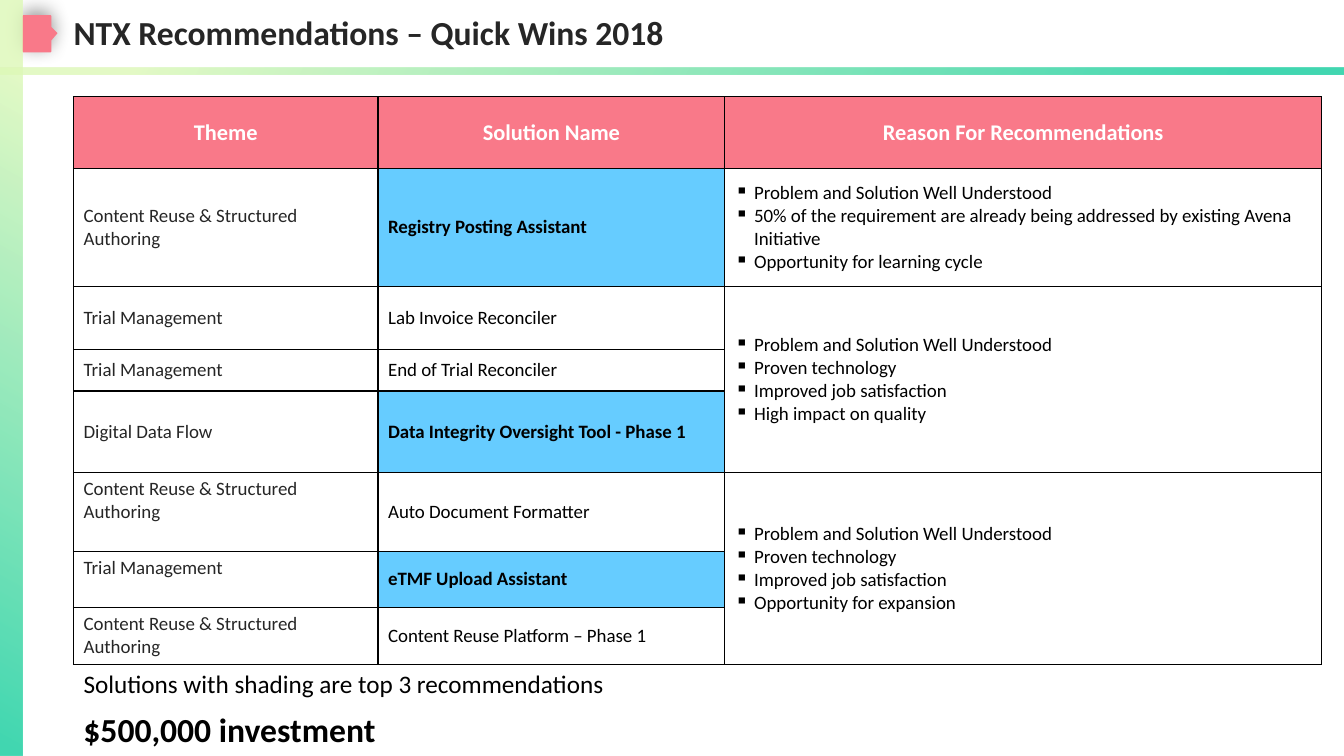
"""Build the quick wins recommendation slide."""
from dataclasses import dataclass

from lxml import etree
from pptx import Presentation
from pptx.dml.color import RGBColor
from pptx.enum.shapes import MSO_SHAPE
from pptx.enum.text import MSO_ANCHOR, PP_ALIGN
from pptx.oxml.ns import qn
from pptx.util import Inches, Pt

RECTANGLE = MSO_SHAPE.RECTANGLE
TOP, MIDDLE = MSO_ANCHOR.TOP, MSO_ANCHOR.MIDDLE
LEFT, CENTER = PP_ALIGN.LEFT, PP_ALIGN.CENTER
UNIT = Inches(0.01)
SLIDE_COLUMNS, SLIDE_ROWS = 1333, 750
CONTENT_LEFT = 73


@dataclass(frozen=True)
class Theme:
    """Hold the colours and type sizes of the slide."""

    font: str = "Calibri"
    coral: str = "F97989"
    sky: str = "66CCFF"
    white: str = "FFFFFF"
    black: str = "000000"
    charcoal: str = "262626"
    lime: str = "DDF9B8"
    green: str = "14CE9F"
    title: float = 24
    header: float = 16
    body: float = 13.5
    note: float = 18


THEME = Theme()
COLUMN_WIDTHS = (302, 344, 592)
HEADERS = ("Theme", "Solution Name", "Reason For Recommendations")
HEADER_HEIGHT = 71
REUSE, TRIAL = "Content Reuse & Structured Authoring", "Trial Management"
SOLUTIONS = (
    (117, REUSE, "Registry Posting Assistant", True, MIDDLE),
    (63, TRIAL, "Lab Invoice Reconciler", False, MIDDLE),
    (41, TRIAL, "End of Trial Reconciler", False, MIDDLE),
    (81, "Digital Data Flow", "Data Integrity Oversight Tool - Phase 1", True, MIDDLE),
    (78, REUSE, "Auto Document Formatter", False, TOP),
    (56, TRIAL, "eTMF Upload Assistant", True, TOP),
    (56, REUSE, "Content Reuse Platform – Phase 1", False, TOP),
)
UNDERSTOOD = "Problem and Solution Well Understood"
PROVEN = (UNDERSTOOD, "Proven technology", "Improved job satisfaction")
REASONS = (
    (1, 1, (UNDERSTOOD,
            "50% of the requirement are already being addressed by existing Avena Initiative",
            "Opportunity for learning cycle")),
    (2, 4, (*PROVEN, "High impact on quality")),
    (5, 7, (*PROVEN, "Opportunity for expansion")),
)
ARROW_OUTLINE = (
    (57, 33), (51, 40), (51, 51), (50, 52), (23, 52), (22, 51),
    (22, 16), (23, 15), (50, 15), (51, 16), (51, 27),
)


def grid(*cells):
    """Convert grid columns and rows to slide lengths."""
    return [round(cell * UNIT) for cell in cells]


def set_attributes(target, values):
    """Set each attribute named in the dict."""
    for name, value in values.items():
        setattr(target, name, value)


def add_element(parent, tag, **attributes):
    """Append an XML element with attributes."""
    element = etree.SubElement(parent, qn(tag))
    for name, value in attributes.items():
        element.set(name, str(value))
    return element


def fill_solid(target, color):
    """Fill a shape or cell with one colour."""
    target.fill.solid()
    target.fill.fore_color.rgb = RGBColor.from_string(color)


def write_lines(frame, lines, size, color, bold=False, align=LEFT, bullet=None):
    """Write formatted paragraphs into a text frame."""
    for index, line in enumerate(lines):
        paragraph = frame.paragraphs[0] if index == 0 else frame.add_paragraph()
        paragraph.alignment = align
        if bullet:
            properties = paragraph._p.get_or_add_pPr()
            properties.set("marL", str(Inches(0.19)))
            properties.set("indent", str(-Inches(0.19)))
            add_element(properties, "a:buChar", char=bullet)
        run = paragraph.add_run()
        run.text = line
        set_attributes(run.font, {"name": THEME.font, "size": Pt(size), "bold": bold})
        run.font.color.rgb = RGBColor.from_string(color)


def add_text(slide, box, text, size, color=THEME.black, bold=False, frame_format=None):
    """Add a text box with one line."""
    frame = slide.shapes.add_textbox(*grid(*box)).text_frame
    set_attributes(frame, {"word_wrap": False, **(frame_format or {})})
    write_lines(frame, [text], size, color, bold)
    return frame


def add_gradient_bar(slide, box, last_stop, rotation=0):
    """Add a translucent bar fading from lime to green."""
    bar = slide.shapes.add_shape(RECTANGLE, *grid(*box))
    bar.rotation = rotation
    bar.shadow.inherit = False
    bar.line.fill.background()
    bar.fill.gradient()
    bar.fill.gradient_angle = 240
    stops = ((0.1, THEME.lime), (last_stop, THEME.green))
    for stop, (position, color) in zip(bar.fill.gradient_stops, stops):
        stop.position = position
        stop.color.rgb = RGBColor.from_string(color)
    for color in bar._element.spPr.iter(qn("a:srgbClr")):
        add_element(color, "a:alpha", val=80000)


def add_arrow_marker(slide):
    """Add the coral arrow marker with a soft shadow."""
    builder = slide.shapes.build_freeform(*ARROW_OUTLINE[0], scale=UNIT)
    builder.add_line_segments(ARROW_OUTLINE[1:], close=True)
    marker = builder.convert_to_shape()
    fill_solid(marker, THEME.coral)
    marker.line.fill.background()
    marker.shadow.inherit = False
    effects = marker._element.spPr.find(qn("a:effectLst"))
    shadow = add_element(effects, "a:outerShdw", blurRad=Pt(13), dist=Pt(3),
                         dir=16200000, rotWithShape=0)
    color = add_element(shadow, "a:srgbClr", val=THEME.black)
    add_element(color, "a:alpha", val=40000)


def set_borders(cell):
    """Draw a thin black line on each side of a cell."""
    properties = cell._tc.get_or_add_tcPr()
    for index, side in enumerate(("a:lnL", "a:lnR", "a:lnT", "a:lnB")):
        line = add_element(properties, side, w=Pt(1))
        fill = add_element(line, "a:solidFill")
        add_element(fill, "a:srgbClr", val=THEME.black)
        properties.insert(index, line)


def fill_cell(cell, lines, color, fill=THEME.white, anchor=MIDDLE, size=THEME.body, **style):
    """Give a table cell its text, fill and anchor."""
    cell.vertical_anchor = anchor
    fill_solid(cell, fill)
    write_lines(cell.text_frame, lines, size, color, **style)


def add_solution_table(slide):
    """Add the table of solutions and reasons."""
    heights = (HEADER_HEIGHT, *(solution[0] for solution in SOLUTIONS))
    box = grid(CONTENT_LEFT, 96, sum(COLUMN_WIDTHS), sum(heights))
    table = slide.shapes.add_table(len(heights), len(COLUMN_WIDTHS), *box).table
    for column, width in zip(table.columns, grid(*COLUMN_WIDTHS)):
        column.width = width
    for row, height in zip(table.rows, grid(*heights)):
        row.height = height
    for index, header in enumerate(HEADERS):
        fill_cell(table.cell(0, index), [header], THEME.white, THEME.coral,
                  size=THEME.header, bold=True, align=CENTER)
    for row, (_, topic, name, top_pick, anchor) in enumerate(SOLUTIONS, 1):
        fill_cell(table.cell(row, 0), [topic], THEME.charcoal, anchor=anchor)
        fill_cell(table.cell(row, 1), [name], THEME.black,
                  THEME.sky if top_pick else THEME.white, bold=top_pick)
    for first, last, reasons in REASONS:
        cell = table.cell(first, 2)
        if last > first:
            cell.merge(table.cell(last, 2))
        fill_cell(cell, reasons, THEME.black, bullet="▪")
    for cell in table.iter_cells():
        set_borders(cell)


def main():
    """Build and save the presentation."""
    presentation = Presentation()
    presentation.slide_width, presentation.slide_height = grid(SLIDE_COLUMNS, SLIDE_ROWS)
    slide = presentation.slides.add_slide(presentation.slide_layouts[6])
    add_arrow_marker(slide)
    add_gradient_bar(slide, (0, 0, 22, SLIDE_ROWS), 0.98)
    add_gradient_bar(slide, (664, -597, 7, 1335), 0.92, rotation=270)
    margins = dict.fromkeys(("margin_left", "margin_right", "margin_top", "margin_bottom"), 0)
    title = add_text(slide, (CONTENT_LEFT, 16, 923, 37), "NTX Recommendations – Quick Wins 2018",
                     THEME.title, THEME.charcoal, True,
                     {"word_wrap": True, "vertical_anchor": MIDDLE, **margins})
    title.paragraphs[0].line_spacing = 0.9
    add_solution_table(slide)
    add_text(slide, (CONTENT_LEFT, 658, 542, 40),
             "Solutions with shading are top 3 recommendations", THEME.note)
    add_text(slide, (CONTENT_LEFT, 698, 320, 50), "$500,000 investment", THEME.title, bold=True)
    presentation.save("out.pptx")


if __name__ == "__main__":
    main()
